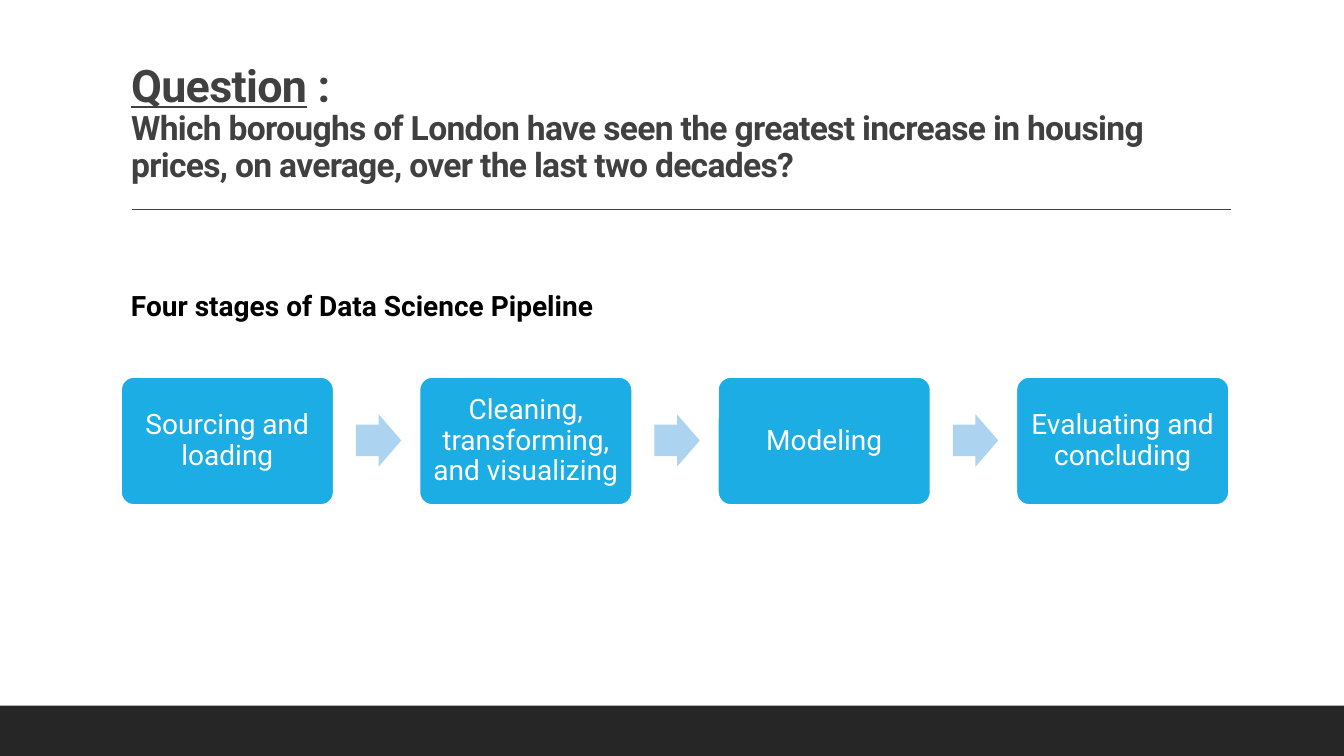
from dataclasses import dataclass

import pptx
import pptx.dml.color
import pptx.enum.shapes
import pptx.enum.text
import pptx.oxml
import pptx.oxml.ns
import pptx.presentation
import pptx.shapes.autoshape
import pptx.slide
import pptx.text.text
import pptx.util

Inches = pptx.util.Inches
Shapes = pptx.enum.shapes.MSO_SHAPE
Align = pptx.enum.text.PP_ALIGN
Anchor = pptx.enum.text.MSO_ANCHOR


@dataclass(frozen=True)
class Theme:
    font: str = "Roboto"
    footer: str = "262626"
    heading: str = "404040"
    text: str = "000000"
    stage: str = "1CADE4"
    arrow: str = "ACD3EF"
    light: str = "FFFFFF"
    question_size: int = 32
    heading_size: int = 24
    text_size: int = 20


@dataclass(frozen=True)
class Box:
    left: float
    top: float
    width: float
    height: float

    def shifted(self, distance: float) -> "Box":
        return Box(self.left + distance, self.top, self.width, self.height)

    def lengths(self) -> tuple[int, ...]:
        return tuple(Inches(value) for value in (self.left, self.top, self.width, self.height))


THEME = Theme()
FOOTER = Box(0, 7, 13.33, 0.5)
TITLE = Box(1.2, 0.29, 11, 1.59)
SUBTITLE = Box(1.2, 2.81, 5.35, 0.44)
FIRST_STAGE = Box(1.2, 3.74, 2.11, 1.27)
FIRST_ARROW = Box(3.53, 4.11, 0.45, 0.52)
STAGE_STEP = 2.96
STAGES = (
    "Sourcing and loading",
    "Cleaning, transforming, and visualizing",
    "Modeling",
    "Evaluating and concluding",
)


def rgb(code: str) -> pptx.dml.color.RGBColor:
    return pptx.dml.color.RGBColor.from_string(code)


def style_text(para: pptx.text.text._Paragraph, size: int, color: str, bold: bool = False) -> None:
    para.font.name = THEME.font
    para.font.size = pptx.util.Pt(size)
    para.font.bold = bold
    para.font.color.rgb = rgb(color)


def add_filled(page: pptx.slide.Slide, kind: Shapes, box: Box, fill: str,
               adjustments: tuple[float, ...] = ()) -> pptx.shapes.autoshape.Shape:
    """Add a flat preset shape without an outline."""
    shape = page.shapes.add_shape(kind, *box.lengths())
    shape.shadow.inherit = False
    shape.fill.solid()
    shape.fill.fore_color.rgb = rgb(fill)
    shape.line.fill.background()
    for index, value in enumerate(adjustments):
        shape.adjustments[index] = value
    return shape


def add_rule(page: pptx.slide.Slide) -> None:
    rule = page.shapes.add_connector(pptx.enum.shapes.MSO_CONNECTOR.STRAIGHT,
                                     Inches(1.31), Inches(2.08), Inches(12.21), Inches(2.08))
    rule.line.color.rgb = rgb(THEME.heading)
    rule.line.width = pptx.util.Pt(1)
    rule._element.spPr.append(pptx.oxml.parse_xml(
        f"<a:effectLst {pptx.oxml.ns.nsdecls('a')}/>"))


def fill_title(page: pptx.slide.Slide) -> None:
    title = page.shapes.title
    title.left, title.top, title.width, title.height = TITLE.lengths()
    frame = title.text_frame
    frame.auto_size = pptx.enum.text.MSO_AUTO_SIZE.NONE
    frame.vertical_anchor = Anchor.BOTTOM
    para = frame.paragraphs[0]
    para.alignment = Align.LEFT
    para.line_spacing = 0.9
    style_text(para, THEME.heading_size, THEME.heading, bold=True)

    label, colon = para.add_run(), para.add_run()
    label.text, colon.text = "Question", " : "
    label.font.underline = True
    for span in (label, colon):
        span.font.size = pptx.util.Pt(THEME.question_size)
    para.add_line_break()
    question = para.add_run()
    question.text = ("Which boroughs of London have seen the greatest increase in housing "
                     "prices, on average, over the last two decades?")
    for span in para.runs:
        span.font._element.set("spc", "-50")


def add_subtitle(page: pptx.slide.Slide) -> None:
    frame = page.shapes.add_textbox(*SUBTITLE.lengths()).text_frame
    frame.word_wrap = True
    frame.text = "Four stages of Data Science Pipeline"
    style_text(frame.paragraphs[0], THEME.text_size, THEME.text, bold=True)


def add_stage(page: pptx.slide.Slide, box: Box, label: str) -> None:
    stage = add_filled(page, Shapes.ROUNDED_RECTANGLE, box, THEME.stage, (0.1,))
    stage.line.color.rgb = rgb(THEME.light)
    stage.line.width = pptx.util.Pt(1.25)
    frame = stage.text_frame
    frame.word_wrap = True
    frame.vertical_anchor = Anchor.MIDDLE
    frame.margin_left = frame.margin_right = Inches(0.08)
    frame.margin_top = frame.margin_bottom = Inches(0.08)
    frame.text = label
    para = frame.paragraphs[0]
    para.alignment = Align.CENTER
    para.line_spacing = 0.9
    style_text(para, THEME.text_size, THEME.light)


def add_pipeline(page: pptx.slide.Slide) -> None:
    for index, label in enumerate(STAGES):
        distance = index * STAGE_STEP
        add_stage(page, FIRST_STAGE.shifted(distance), label)
        if index < len(STAGES) - 1:
            add_filled(page, Shapes.RIGHT_ARROW, FIRST_ARROW.shifted(distance),
                       THEME.arrow, (0.6, 0.5))


def main() -> None:
    deck = pptx.Presentation()
    deck.slide_width, deck.slide_height = Inches(13.33), Inches(7.5)
    title_only = deck.slide_layouts[5]
    page = deck.slides.add_slide(title_only)
    add_filled(page, Shapes.RECTANGLE, FOOTER, THEME.footer)
    add_rule(page)
    fill_title(page)
    add_pipeline(page)
    add_subtitle(page)
    deck.save("out.pptx")


if __name__ == "__main__":
    main()
